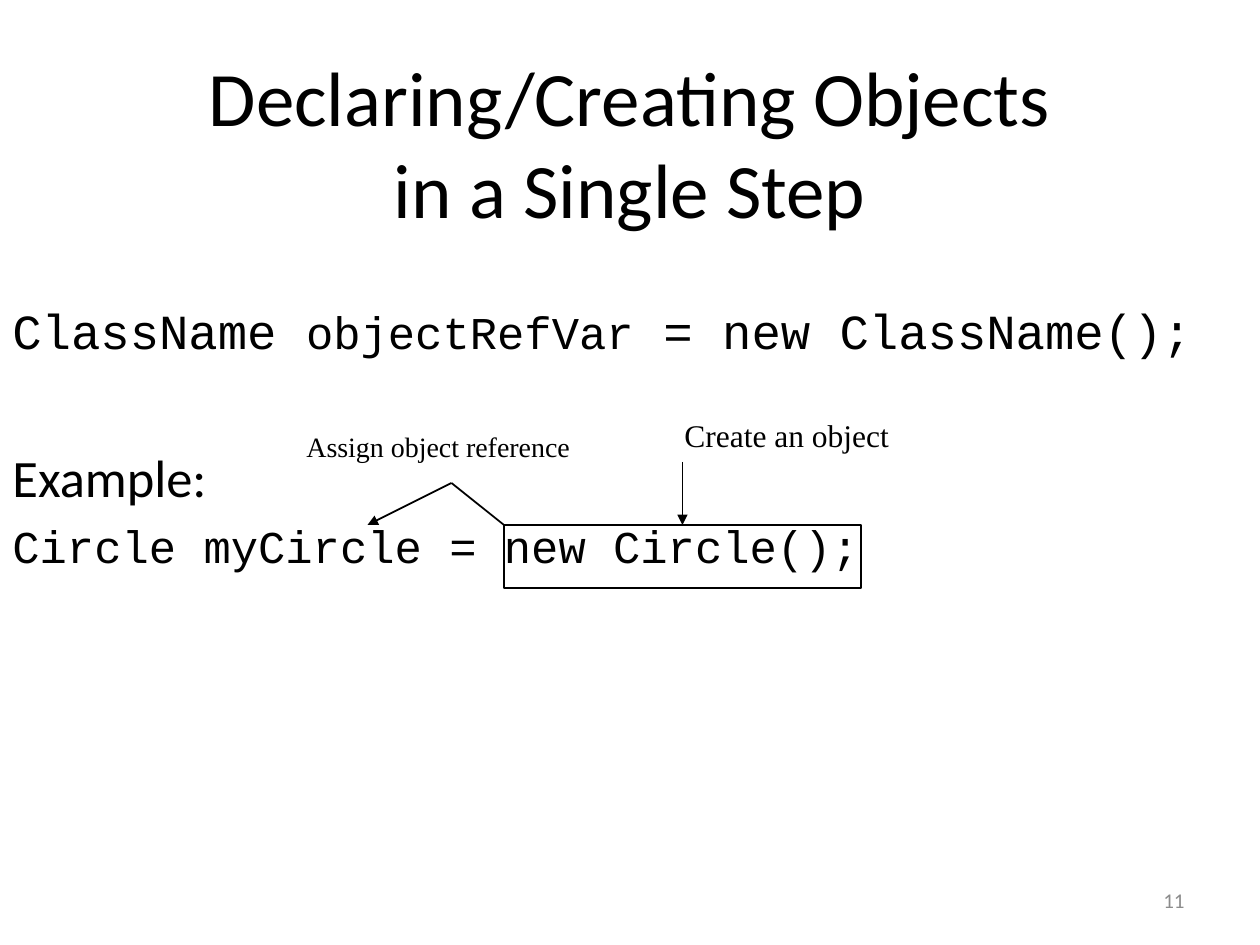
from typing import NamedTuple

from lxml import etree
from pptx import Presentation, util as u
from pptx.dml.color import RGBColor
from pptx.enum import shapes, text
from pptx.oxml.ns import qn

PX = 9525
BLACK = RGBColor(0x00, 0x00, 0x00)
GRAY = RGBColor(0x8C, 0x8C, 0x8C)
BODY_FONT = "Calibri"
CODE_FONT = "Courier New"
LABEL_FONT = "Times New Roman"


class Box(NamedTuple):
    left: int
    top: int
    width: int
    height: int


class Span(NamedTuple):
    wording: str
    size: int
    font: str
    color: RGBColor = BLACK


class Line(NamedTuple):
    spans: list[Span]
    space_before: int = 0


class Stroke(NamedTuple):
    start: tuple[int, int]
    end: tuple[int, int]
    arrow: bool = False


TITLE = Span("Declaring/Creating Objects\vin a Single Step", 44, BODY_FONT)
SYNTAX_AND_EXAMPLE = [
    Line([Span("ClassName ", 28, CODE_FONT),
          Span("objectRefVar", 26, CODE_FONT),
          Span(" = new ClassName();", 28, CODE_FONT)], 6),
    Line([Span("Example:", 30, BODY_FONT)], 49),
    Line([Span("Circle myCircle = new Circle();", 26, CODE_FONT)], 6),
]
CREATE_LABEL = [Line([Span("Create an object", 18, LABEL_FONT)])]
ASSIGN_LABEL = [Line([Span("Assign object reference", 16, LABEL_FONT),
                      Span(" ", 24, LABEL_FONT)])]
PAGE_NUMBER = [Line([Span("11", 12, BODY_FONT, GRAY)])]

NEW_CIRCLE = Box(384, 400, 272, 48)
ASSIGN_BEND = (344, 368)
STROKES = [
    Stroke((520, 352), (520, NEW_CIRCLE.top), arrow=True),
    Stroke((NEW_CIRCLE.left, NEW_CIRCLE.top), ASSIGN_BEND),
    Stroke(ASSIGN_BEND, (280, NEW_CIRCLE.top), arrow=True),
]


def emu(box: Box) -> list[int]:
    return [length * PX for length in box]


def style_run(run, span: Span) -> None:
    run.font.size = u.Pt(span.size)
    run.font.name = span.font
    run.font.color.rgb = span.color


def set_title(slide, box: Box, span: Span) -> None:
    title = slide.shapes.title
    title.left, title.top, title.width, title.height = emu(box)
    frame = title.text_frame
    frame.text = span.wording
    frame.auto_size = text.MSO_AUTO_SIZE.NONE
    frame.vertical_anchor = text.MSO_ANCHOR.MIDDLE
    frame.paragraphs[0].alignment = text.PP_ALIGN.CENTER
    for run in frame.paragraphs[0].runs:
        style_run(run, span)


def add_text(slide, box: Box, lines: list[Line], wrap: bool = True,
             align=text.PP_ALIGN.LEFT, anchor=text.MSO_ANCHOR.TOP) -> None:
    frame = slide.shapes.add_textbox(*emu(box)).text_frame
    frame.word_wrap = wrap
    frame.vertical_anchor = anchor
    for index, line in enumerate(lines):
        paragraph = frame.add_paragraph() if index else frame.paragraphs[0]
        paragraph.alignment = align
        paragraph.space_before = u.Pt(line.space_before)
        for span in line.spans:
            run = paragraph.add_run()
            run.text = span.wording
            style_run(run, span)


def add_frame(slide, box: Box) -> None:
    frame = slide.shapes.add_shape(shapes.MSO_SHAPE.RECTANGLE, *emu(box))
    frame.shadow.inherit = False
    frame.fill.background()
    frame.line.color.rgb = BLACK
    frame.line.width = u.Pt(1)


def add_stroke(slide, stroke: Stroke) -> None:
    ends = [length * PX for length in stroke.start + stroke.end]
    connector = slide.shapes.add_connector(shapes.MSO_CONNECTOR.STRAIGHT, *ends)
    connector.line.color.rgb = BLACK
    connector.line.width = u.Pt(1)
    properties = connector.element.spPr
    if stroke.arrow:
        etree.SubElement(properties.find(qn("a:ln")), qn("a:tailEnd"), type="triangle")
    etree.SubElement(properties, qn("a:effectLst"))


def main() -> None:
    deck = Presentation()
    deck.slide_width, deck.slide_height = 960 * PX, 720 * PX
    slide = deck.slides.add_slide(deck.slide_layouts.get_by_name("Title Only"))

    set_title(slide, Box(72, 24, 816, 168), TITLE)
    add_text(slide, Box(0, 224, 1040, 272), SYNTAX_AND_EXAMPLE)
    add_text(slide, Box(688, 667, 224, 38), PAGE_NUMBER,
             align=text.PP_ALIGN.RIGHT, anchor=text.MSO_ANCHOR.MIDDLE)
    add_frame(slide, NEW_CIRCLE)
    for stroke in STROKES:
        add_stroke(slide, stroke)
    add_text(slide, Box(512, 312, 176, 38), CREATE_LABEL, wrap=False)
    add_text(slide, Box(224, 312, 229, 48), ASSIGN_LABEL, wrap=False)

    deck.save("out.pptx")


if __name__ == "__main__":
    main()
